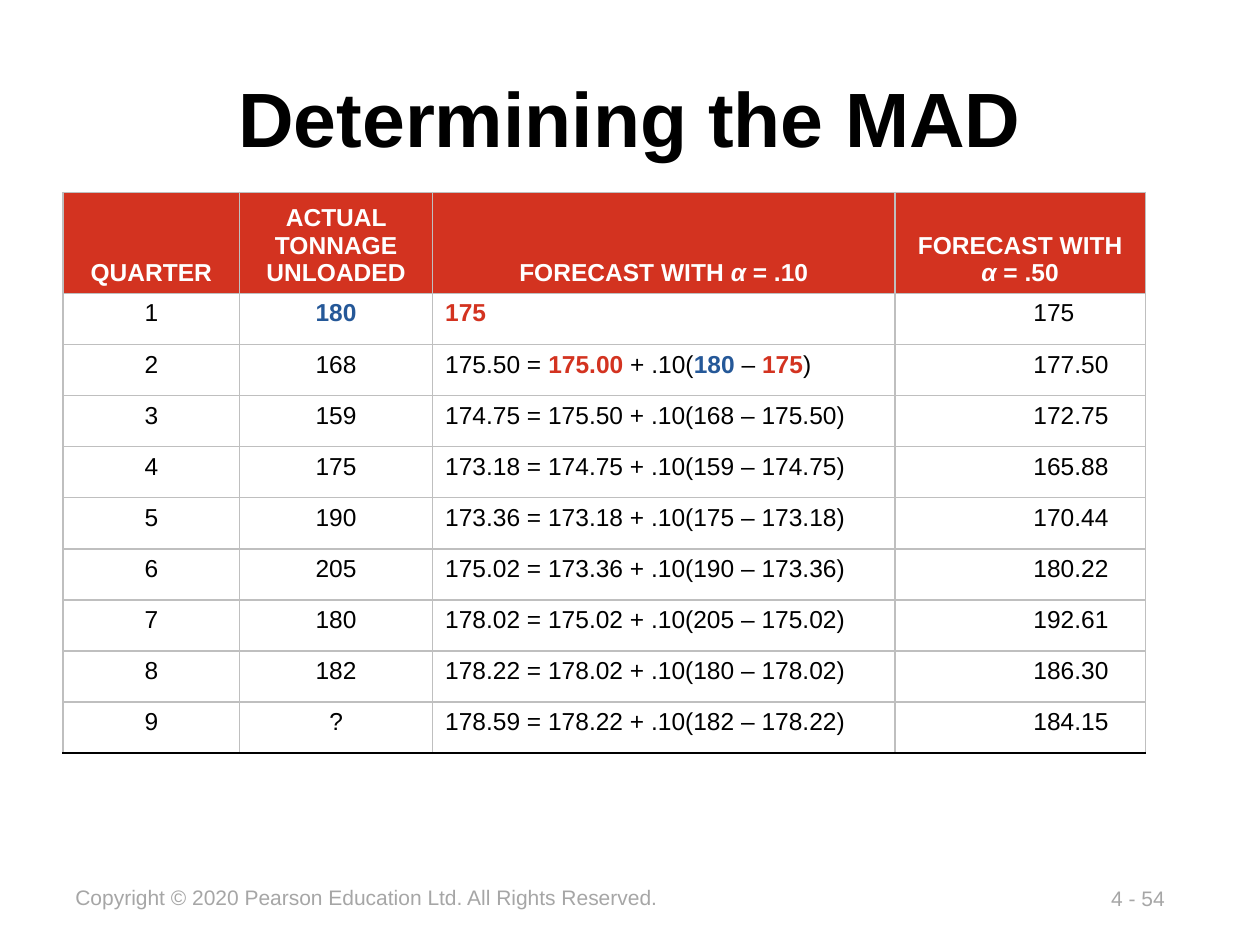
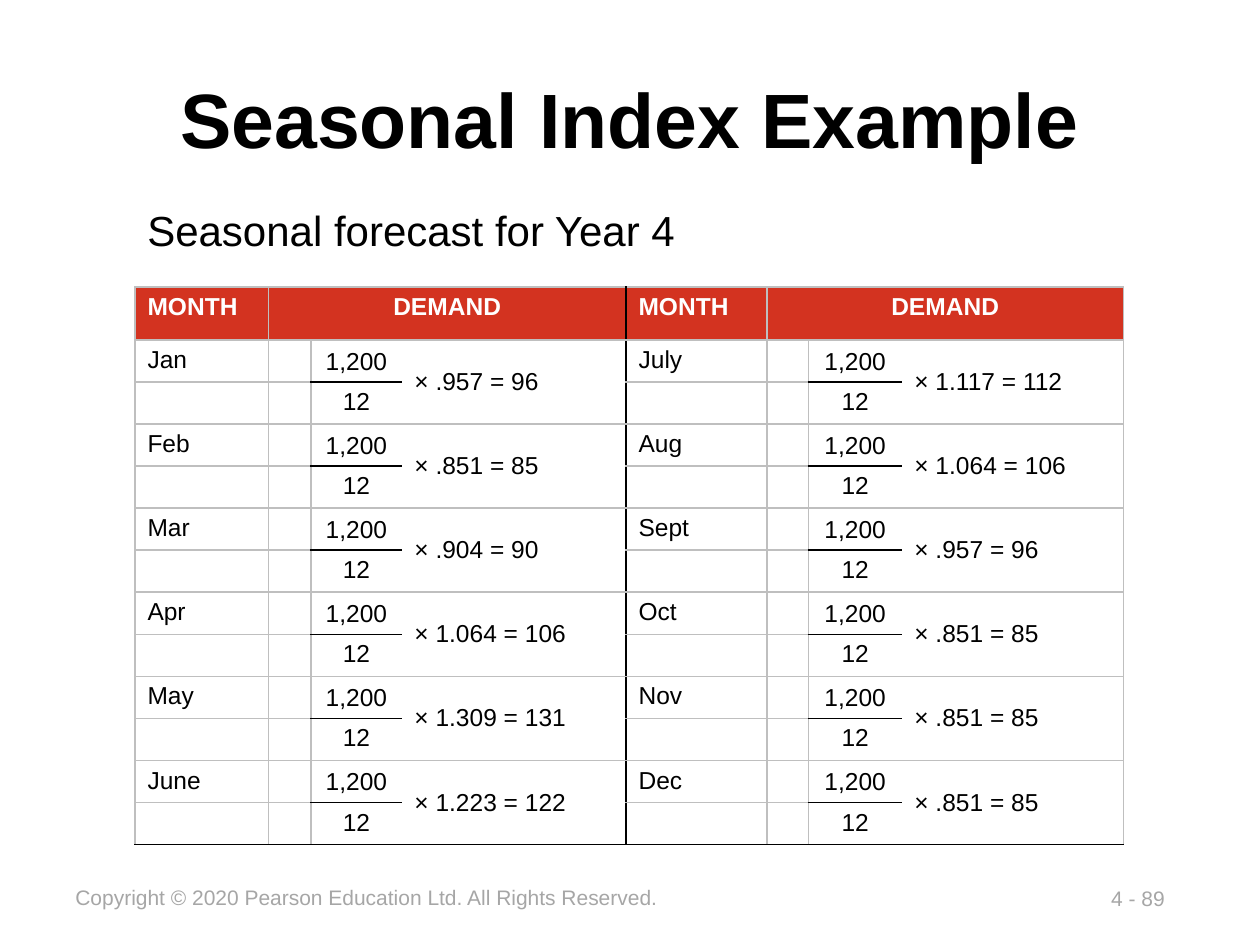
from lxml.etree import SubElement
from pptx import Presentation
from pptx.dml.color import RGBColor
from pptx.enum.text import MSO_ANCHOR, PP_ALIGN
from pptx.oxml.ns import qn
from pptx.util import Cm, Pt

FONT = "Arial"
COLORS = {
    "text": "000000",
    "white": "FFFFFF",
    "red": "D33320",
    "blue": "255898",
    "grid": "BFBFBF",
    "rule": "000000",
    "footer": "A6A6A6",
}
COPYRIGHT = "Copyright © 2020 Pearson Education Ltd. All Rights Reserved."
NO_STYLE_NO_GRID = "{2D5ABB26-0587-4C30-8999-92F81FD0307C}"
CENTER = PP_ALIGN.CENTER

ACTUALS = ["180", "168", "159", "175", "190", "205", "180", "182", "?"]
SLOW_FORECASTS = ["175", "175.50", "174.75", "173.18", "173.36", "175.02",
                  "178.02", "178.22", "178.59"]
FAST_FORECASTS = ["175", "177.50", "172.75", "165.88", "170.44", "180.22",
                  "192.61", "186.30", "184.15"]

HALF_YEARS = [
    [("Jan", "× .957 = 96"), ("Feb", "× .851 = 85"), ("Mar", "× .904 = 90"),
     ("Apr", "× 1.064 = 106"), ("May", "× 1.309 = 131"), ("June", "× 1.223 = 122")],
    [("July", "× 1.117 = 112"), ("Aug", "× 1.064 = 106"), ("Sept", "× .957 = 96"),
     ("Oct", "× .851 = 85"), ("Nov", "× .851 = 85"), ("Dec", "× .851 = 85")],
]


def rgb(name):
    return RGBColor.from_string(COLORS[name])


def style(r, size, color="text", bold=False, italic=False):
    r.font.name = FONT
    r.font.size = Pt(size)
    r.font.color.rgb = rgb(color)
    r.font.bold = bold
    r.font.italic = italic


def add_label(s, left, top, width, height, text, size, color="text"):
    tf = s.shapes.add_textbox(Cm(left), Cm(top), Cm(width), Cm(height)).text_frame
    tf.word_wrap = False
    tf.text = text
    style(tf.paragraphs[0].runs[0], size, color)


def add_titled_slide(prs, title, page, box):
    s = prs.slides.add_slide(prs.slide_layouts[5])
    sp = s.shapes.title
    sp.left, sp.top, sp.width, sp.height = [Cm(v) for v in box]
    tf = sp.text_frame
    tf.vertical_anchor = MSO_ANCHOR.MIDDLE
    tf.text = title
    tf.paragraphs[0].alignment = CENTER
    style(tf.paragraphs[0].runs[0], 44, bold=True)
    add_label(s, 22.15, 17.73, 1.65, 0.76, page, 12, "footer")
    add_label(s, 1.27, 17.7, 12.34, 0.76, COPYRIGHT, 12, "footer")
    return s


def add_grid(s, left, top, widths, heights):
    frame = s.shapes.add_table(len(heights), len(widths), Cm(left), Cm(top),
                               Cm(sum(widths)), Cm(sum(heights)))
    table = frame.table
    table.horz_banding = False
    table._tbl.tblPr.find(qn("a:tableStyleId")).text = NO_STYLE_NO_GRID
    for column, width in zip(table.columns, widths):
        column.width = Cm(width)
    for row, height in zip(table.rows, heights):
        row.height = Cm(height)
    return table


def finish_cell(cell, borders, fill=None):
    """Draw the borders, given as side letter to colour name, then the fill."""
    tcPr = cell._tc.get_or_add_tcPr()
    for side in "LRTB":
        if borders.get(side):
            ln = SubElement(tcPr, qn("a:ln" + side), w=str(Pt(1)))
            solid = SubElement(ln, qn("a:solidFill"))
            SubElement(solid, qn("a:srgbClr"), val=COLORS[borders[side]])
    if fill:
        cell.fill.solid()
        cell.fill.fore_color.rgb = rgb(fill)
    else:
        cell.fill.background()
    # An empty cell would otherwise keep an 18 pt line and stretch its row.
    if not cell.text:
        end = cell.text_frame.paragraphs[0]._p.get_or_add_endParaRPr()
        end.set("sz", "1400")


def write_cell(cell, *lines, align=None, anchor=MSO_ANCHOR.TOP, **base):
    """Each line is a string or a list of (text, style changes) runs."""
    cell.vertical_anchor = anchor
    tf = cell.text_frame
    for i, line in enumerate(lines):
        p = tf.paragraphs[0] if i == 0 else tf.add_paragraph()
        p.alignment = align
        for text, changes in [(line, {})] if isinstance(line, str) else line:
            r = p.add_run()
            r.text = text
            style(r, 14, **{**base, **changes})


def add_tab_stop(p, position):
    tabs = SubElement(p._p.get_or_add_pPr(), qn("a:tabLst"))
    SubElement(tabs, qn("a:tab"), pos=str(Cm(position)), algn="l")


def smoothing_formula(i):
    """Runs that show how the forecast for quarter i + 1 is found."""
    red = {"color": "red", "bold": True}
    blue = {"color": "blue", "bold": True}
    if i == 0:
        return [(SLOW_FORECASTS[0], red)]
    now, before, actual = SLOW_FORECASTS[i], SLOW_FORECASTS[i - 1], ACTUALS[i - 1]
    if i == 1:
        return [(f"{now} = ", {}), (f"{before}.00", red), (" + .10(", {}),
                (actual, blue), (" – ", {}), (before, red), (")", {})]
    return [(f"{now} = {before} + .10({actual} – {before})", {})]


def add_forecast_table(s):
    table = add_grid(s, 1.27, 3.88, [3.56, 3.89, 9.32, 5.05], [1.93] + [1.03] * 9)
    alpha = ("α", {"italic": True})
    headers = [
        ["QUARTER"],
        ["ACTUAL TONNAGE UNLOADED"],
        [[("FORECAST WITH ", {}), alpha, (" = .10", {})]],
        ["FORECAST WITH", [alpha, (" = .50", {})]],
    ]
    for c, lines in enumerate(headers):
        write_cell(table.cell(0, c), *lines, align=CENTER,
                   anchor=MSO_ANCHOR.BOTTOM, color="white", bold=True)
    for i, (actual, fast) in enumerate(zip(ACTUALS, FAST_FORECASTS)):
        quarter, tonnage, slow_cell, fast_cell = table.rows[i + 1].cells
        write_cell(quarter, str(i + 1), align=CENTER)
        first = {"color": "blue", "bold": True} if i == 0 else {}
        write_cell(tonnage, actual, align=CENTER, **first)
        write_cell(slow_cell, smoothing_formula(i))
        add_tab_stop(fast_cell.text_frame.paragraphs[0], 2.54)
        write_cell(fast_cell, "\t" + fast)
    last = len(ACTUALS)
    for r, row in enumerate(table.rows):
        for cell in row.cells:
            borders = dict.fromkeys("LRT", "grid")
            borders["B"] = "rule" if r == last else "grid"
            finish_cell(cell, borders, "red" if r == 0 else None)


def seasonal_borders(r, c, last):
    """Grey grid, black fraction bars, black middle and bottom rules."""
    half, col = divmod(c, 4)
    upper = r % 2 == 1
    borders = {}
    if col < 2:
        borders["L"] = "rule" if half and col == 0 else "grid"
    if col == 0:
        borders["R"] = "grid"
    elif col == 3 or (r == 0 and col == 1):
        borders["R"] = "grid" if half else "rule"
    if r == 0 or upper:
        borders["T"] = "grid"
    elif col == 2:
        borders["T"] = "rule"
    if upper and col == 2:
        borders["B"] = "rule"
    elif not upper or col == 3:
        borders["B"] = "rule" if r >= last - 1 else "grid"
    return borders


def add_seasonal_table(s):
    widths = [2.69, 0.86, 1.83, 4.52, 2.84, 0.84, 1.88, 4.47]
    table = add_grid(s, 2.72, 5.79, widths, [1.06] + [10.16 / 12] * 12)
    for half, months in enumerate(HALF_YEARS):
        c = half * 4
        table.cell(0, c + 1).merge(table.cell(0, c + 3))
        write_cell(table.cell(0, c), "MONTH", color="white", bold=True)
        write_cell(table.cell(0, c + 1), "DEMAND", align=CENTER,
                   color="white", bold=True)
        for i, (month, product) in enumerate(months):
            r = 1 + 2 * i
            table.cell(r, c + 3).merge(table.cell(r + 1, c + 3))
            write_cell(table.cell(r, c), month)
            write_cell(table.cell(r, c + 2), "1,200", align=CENTER,
                       anchor=MSO_ANCHOR.BOTTOM)
            write_cell(table.cell(r + 1, c + 2), "12", align=CENTER)
            write_cell(table.cell(r, c + 3), product, anchor=MSO_ANCHOR.MIDDLE)
    last = len(table.rows) - 1
    for r, row in enumerate(table.rows):
        for c, cell in enumerate(row.cells):
            finish_cell(cell, seasonal_borders(r, c, last),
                        "red" if r == 0 else None)


def main():
    prs = Presentation()
    prs.slide_width, prs.slide_height = Cm(25.4), Cm(19.05)

    s = add_titled_slide(prs, "Determining the MAD", "4 - 54",
                         (1.27, 0.76, 22.86, 3.18))
    add_forecast_table(s)

    s = add_titled_slide(prs, "Seasonal Index Example", "4 - 89",
                         (1.9, 1.12, 21.6, 2.51))
    add_seasonal_table(s)
    add_label(s, 2.72, 3.99, 11.25, 1.3, "Seasonal forecast for Year 4", 24)

    prs.save("out.pptx")


if __name__ == "__main__":
    main()
